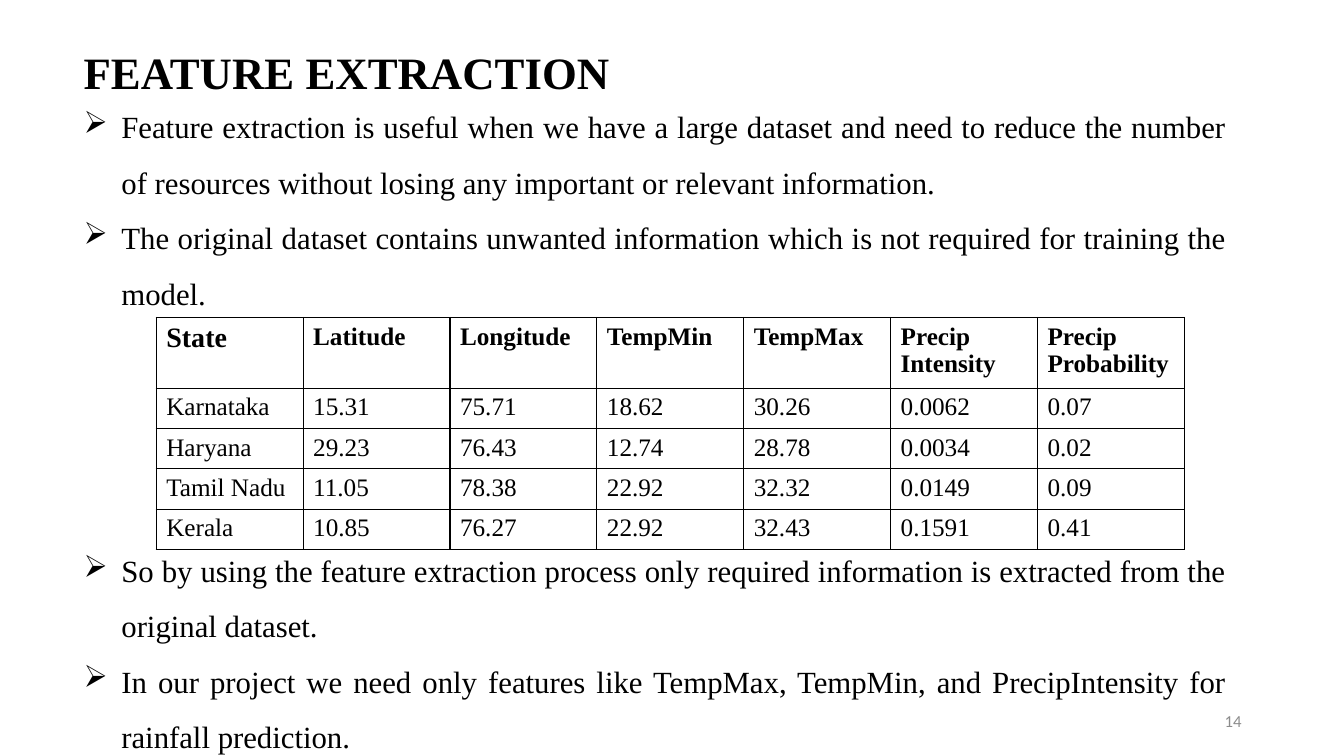
from lxml.etree import SubElement
from pptx import Presentation
from pptx.dml.color import RGBColor
from pptx.enum.text import MSO_ANCHOR, PP_ALIGN
from pptx.oxml.ns import qn
from pptx.util import Pt

BLACK = RGBColor(0, 0, 0)
GRAY = RGBColor(0x8C, 0x8C, 0x8C)
SERIF = "Times New Roman"
SANS = "Calibri"

POINTS = [
    "Feature extraction is useful when we have a large dataset and need to reduce the number of resources without losing any important or relevant information.",
    "The original dataset contains unwanted information which is not required for training the model.",
    "So by using the feature extraction process only required information is extracted from the original dataset.",
    "In our project we need only features like TempMax, TempMin, and PrecipIntensity for rainfall prediction.",
]
AFTER = 2
GAP = 158.4

ROWS = [
    ["State", "Latitude", "Longitude", "TempMin", "TempMax", "Precip Intensity", "Precip Probability"],
    ["Karnataka", "15.31", "75.71", "18.62", "30.26", "0.0062", "0.07"],
    ["Haryana", "29.23", "76.43", "12.74", "28.78", "0.0034", "0.02"],
    ["Tamil Nadu", "11.05", "78.38", "22.92", "32.32", "0.0149", "0.09"],
    ["Kerala", "10.85", "76.27", "22.92", "32.43", "0.1591", "0.41"],
]


def style(para, size, name=SERIF, color=BLACK, bold=False):
    for run in para.runs:
        font = run.font
        font.size = Pt(size)
        font.name = name
        font.color.rgb = color
        font.bold = bold


def add_text(slide, box, text):
    frame = slide.shapes.add_textbox(*map(Pt, box)).text_frame
    frame.word_wrap = True
    frame.text = text
    return frame


def add_title(slide, box):
    frame = add_text(slide, box, "FEATURE EXTRACTION")
    style(frame.paragraphs[0], 32, bold=True)


def add_points(slide, box):
    frame = add_text(slide, box, "\n".join(POINTS))
    for index, para in enumerate(frame.paragraphs):
        para.alignment = PP_ALIGN.JUSTIFY
        para.line_spacing = 1.5
        if index == AFTER:
            para.space_before = Pt(GAP)
        style(para, 22)
        props = para._p.get_or_add_pPr()
        props.set("marL", str(Pt(27)))
        props.set("indent", str(Pt(-27)))
        SubElement(props, qn("a:buChar")).set("char", "➢")


def add_edges(cell):
    props = cell._tc.get_or_add_tcPr()
    for side in ("lnL", "lnR", "lnT", "lnB"):
        line = SubElement(props, qn("a:" + side), w=str(Pt(1)))
        fill = SubElement(line, qn("a:solidFill"))
        SubElement(fill, qn("a:srgbClr"), val=str(BLACK))


def add_grid(slide, box):
    left, top, width, height = box
    count = len(ROWS[0])
    frame = slide.shapes.add_table(len(ROWS), count, *map(Pt, box))
    table = frame.table
    table.first_row = False
    table.horz_banding = False
    for col in table.columns:
        col.width = Pt(width / count)
    head = 50.4
    for index, row in enumerate(table.rows):
        row.height = Pt((height - head) / (len(ROWS) - 1) if index else head)
        for spot, cell in enumerate(row.cells):
            cell.text_frame.text = ROWS[index][spot]
            size = 20 if index == spot == 0 else 18
            style(cell.text_frame.paragraphs[0], size, bold=index == 0)
            add_edges(cell)
            cell.fill.background()


def add_number(slide, box):
    frame = add_text(slide, box, "14")
    frame.vertical_anchor = MSO_ANCHOR.MIDDLE
    para = frame.paragraphs[0]
    para.alignment = PP_ALIGN.RIGHT
    style(para, 12, SANS, GRAY)


def main():
    deck = Presentation()
    deck.slide_width = Pt(960)
    deck.slide_height = Pt(540)
    slide = deck.slides.add_slide(deck.slide_layouts[6])
    add_title(slide, (52.6, 28.1, 480, 46))
    add_points(slide, (52.6, 60.5, 830, 509))
    add_grid(slide, (111.6, 226.8, 734.4, 165.6))
    add_number(slide, (678, 500.5, 216, 28.8))
    deck.save("out.pptx")


if __name__ == "__main__":
    main()
